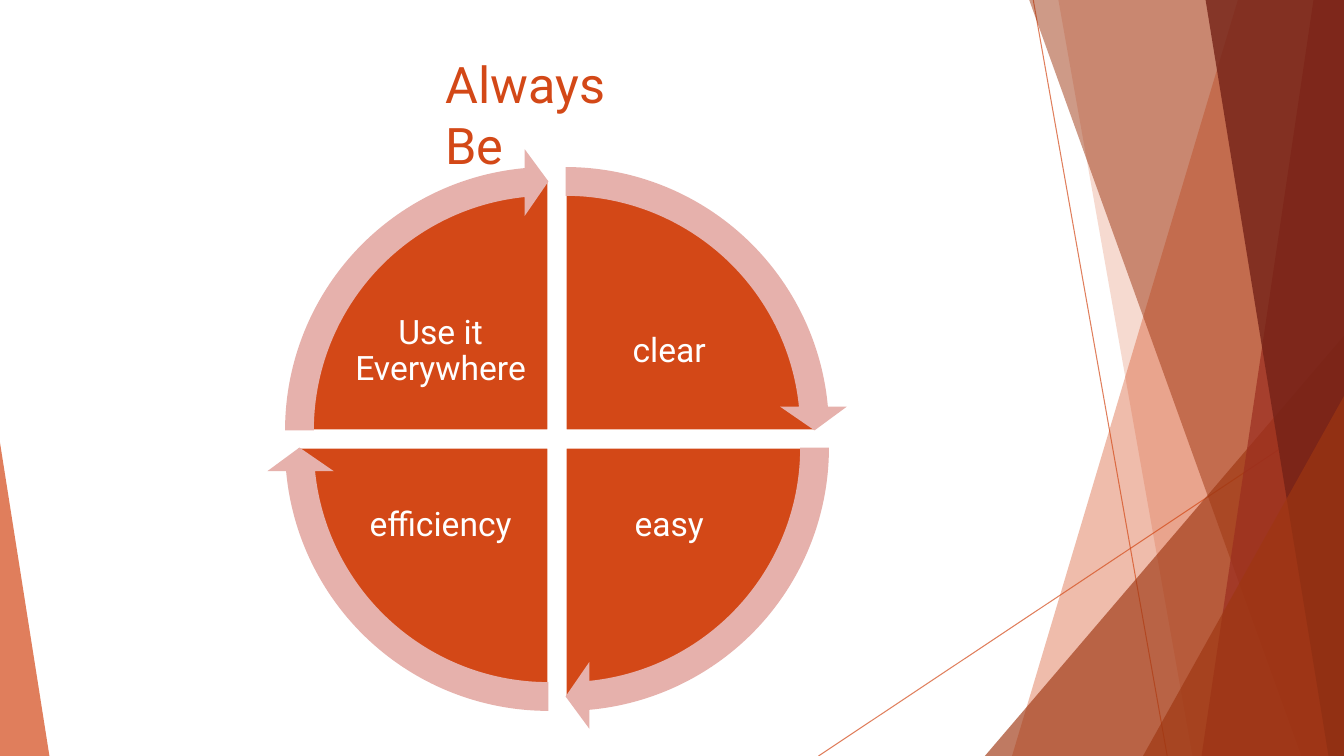
from dataclasses import dataclass

from lxml import etree
from pptx import Presentation
from pptx.dml.color import RGBColor
from pptx.enum.shapes import MSO_CONNECTOR, MSO_SHAPE
from pptx.enum.text import MSO_ANCHOR, PP_ALIGN
from pptx.oxml.ns import qn
from pptx.util import Inches, Pt

STRAIGHT = MSO_CONNECTOR.STRAIGHT
PIE = MSO_SHAPE.PIE
CIRCULAR_ARROW = MSO_SHAPE.CIRCULAR_ARROW
TRIANGLE = MSO_SHAPE.ISOSCELES_TRIANGLE
TOP, MIDDLE = MSO_ANCHOR.TOP, MSO_ANCHOR.MIDDLE
LEFT, CENTER = PP_ALIGN.LEFT, PP_ALIGN.CENTER


@dataclass(frozen=True)
class Theme:
    font: str = "Roboto"
    orange: str = "D34817"
    rust: str = "9E3611"
    red: str = "9B2D1F"
    maroon: str = "742217"
    pink: str = "E6B1AC"
    white: str = "FFFFFF"
    title_size: int = 36
    label_size: int = 24
    hairline: float = 0.75
    outline: float = 1.5


@dataclass(frozen=True)
class Box:
    left: float
    top: float
    width: float
    height: float

    def point(self, x, y):
        return (int(self.left + self.width * x / 100),
                int(self.top + self.height * y / 100))

    def inner(self, x, y, width, height):
        return Box(*self.point(x, y), int(self.width * width / 100),
                   int(self.height * height / 100))

    def frame(self):
        return self.left, self.top, self.width, self.height


THEME = Theme()
QUARTER = 54
FULL_TURN = 216
HEAD_ANGLE = 3.275


def paint(fill, color):
    fill.solid()
    fill.fore_color.rgb = RGBColor.from_string(color)


def fade(shape_properties, opacity):
    for color in shape_properties.iter(qn("a:srgbClr")):
        etree.SubElement(color, qn("a:alpha"), val=str(opacity * 1000))


def finish(shape, color, opacity=100):
    shape.shadow.inherit = False
    paint(shape.fill, color)
    shape.line.fill.background()
    if opacity < 100:
        fade(shape._element.spPr, opacity)


def add_preset(slide, preset, box, color, adjustments, opacity=100):
    shape = slide.shapes.add_shape(preset, *box.frame())
    for index, value in enumerate(adjustments):
        shape.adjustments[index] = value
    finish(shape, color, opacity)
    return shape


def add_text(slide, box, text, size, color, align, anchor, inset=None):
    holder = slide.shapes.add_textbox(*box.frame())
    frame = holder.text_frame
    frame.word_wrap = True
    frame.vertical_anchor = anchor
    if inset is not None:
        frame.margin_left = frame.margin_right = inset
        frame.margin_top = frame.margin_bottom = inset
    paragraph = frame.paragraphs[0]
    paragraph.alignment = align
    run = paragraph.add_run()
    run.text = text
    run.font.name = THEME.font
    run.font.size = Pt(size)
    run.font.color.rgb = RGBColor.from_string(color)
    return paragraph


def add_hairline(slide, box, start, end):
    hairline = slide.shapes.add_connector(STRAIGHT, *box.point(*start), *box.point(*end))
    hairline.line.width = Pt(THEME.hairline)
    paint(hairline.line.fill, THEME.orange)
    properties = hairline._element.spPr
    fade(properties, 70)
    etree.SubElement(properties, qn("a:effectLst"))


def add_ribbon(slide, box, top_x, bottom_x, color, opacity):
    outline = slide.shapes.build_freeform(*box.point(top_x, 0), scale=1.0)
    corners = [box.point(100, 0), box.point(100, 100), box.point(bottom_x, 100)]
    outline.add_line_segments(corners, close=True)
    finish(outline.convert_to_shape(), color, opacity)


def add_corner(slide, box, left, top, color, opacity):
    corner = box.inner(left, top, 100 - left, 100 - top)
    add_preset(slide, TRIANGLE, corner, color, [1], opacity)


def draw_facets(slide, box):
    add_hairline(slide, box, (76.88, 0), (86.85, 100))
    add_hairline(slide, box, (100, 53.73), (60.9, 100))
    facets = [
        (add_ribbon, 92.1, 75.3, THEME.orange, 36),
        (add_ribbon, 78.75, 88.73, THEME.orange, 20),
        (add_corner, 73.28, 44.4, THEME.rust, 66),
        (add_ribbon, 76.58, 96.83, THEME.rust, 50),
        (add_ribbon, 97.73, 89.4, THEME.red, 70),
        (add_ribbon, 89.7, 98.85, THEME.maroon, 80),
        (add_corner, 85.05, 52.4, THEME.rust, 66),
    ]
    for draw, first, second, color, opacity in facets:
        draw(slide, box, first, second, color, opacity)
    left_wedge = box.inner(0, 58.53, 3.68, 41.47)
    add_preset(slide, TRIANGLE, left_wedge, THEME.orange, [0], 70)


def draw_cycle(slide, box, steps):
    gap, arrow_margin = 3.3, 6.02
    wheel = 100 - gap
    ring = wheel + 2 * arrow_margin
    quadrants = [(1, 0), (1, 1), (0, 1), (0, 0)]
    starts = [(3 + turn) * QUARTER % FULL_TURN for turn in range(len(steps))]

    for step, (column, row), start in zip(steps, quadrants, starts):
        sector = box.inner(column * gap, row * gap, wheel, wheel)
        end = (start + QUARTER) % FULL_TURN
        quarter = add_preset(slide, PIE, sector, THEME.orange, [start, end])
        quarter.line.width = Pt(THEME.outline)
        paint(quarter.line.fill, THEME.white)
        label = box.inner((9.71, 54.56)[column], (20, 53.4)[row], 35.73, 26.41)
        paragraph = add_text(slide, label, step, THEME.label_size, THEME.white,
                             CENTER, MIDDLE, Inches(0.03))
        paragraph.line_spacing = 0.9

    for (column, row), start in zip(quadrants, starts):
        orbit = box.inner(column * gap - arrow_margin, row * gap - arrow_margin, ring, ring)
        tip = start + QUARTER - HEAD_ANGLE
        add_preset(slide, CIRCULAR_ARROW, orbit, THEME.pink,
                   [0.051, HEAD_ANGLE, tip, start, 0.059])


def draw_title(slide, box, title):
    add_text(slide, box, title, THEME.title_size, THEME.orange, LEFT, TOP)


def main():
    deck = Presentation()
    deck.slide_width, deck.slide_height = Inches(13.33), Inches(7.5)
    slide = deck.slides.add_slide(deck.slide_layouts[6])
    page = Box(0, 0, deck.slide_width, deck.slide_height)
    draw_facets(slide, page)
    draw_cycle(slide, page.inner(22.13, 23.73, 38.63, 68.67),
               ["clear ", "easy ", "efficiency", "Use it Everywhere"])
    draw_title(slide, page.inner(32.4, 6.4, 18.15, 19.2), "Always Be")
    deck.save("out.pptx")


if __name__ == "__main__":
    main()
